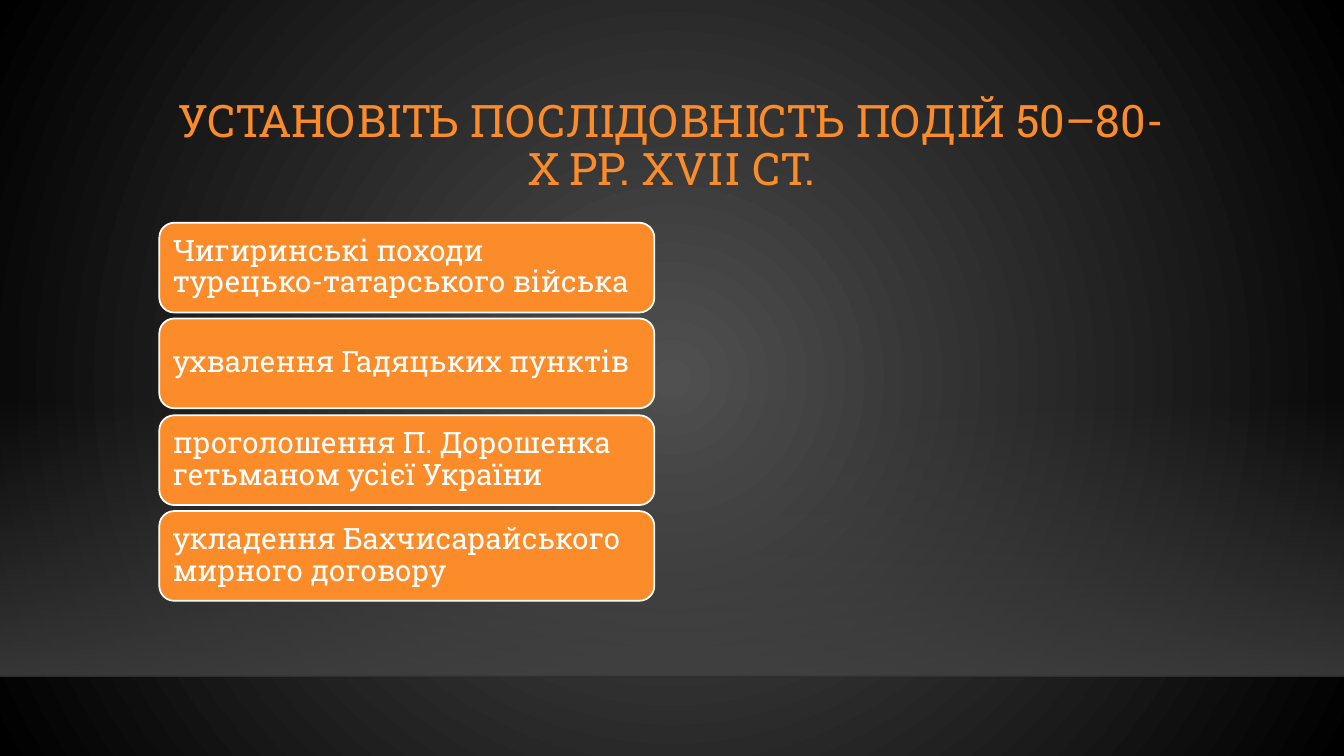
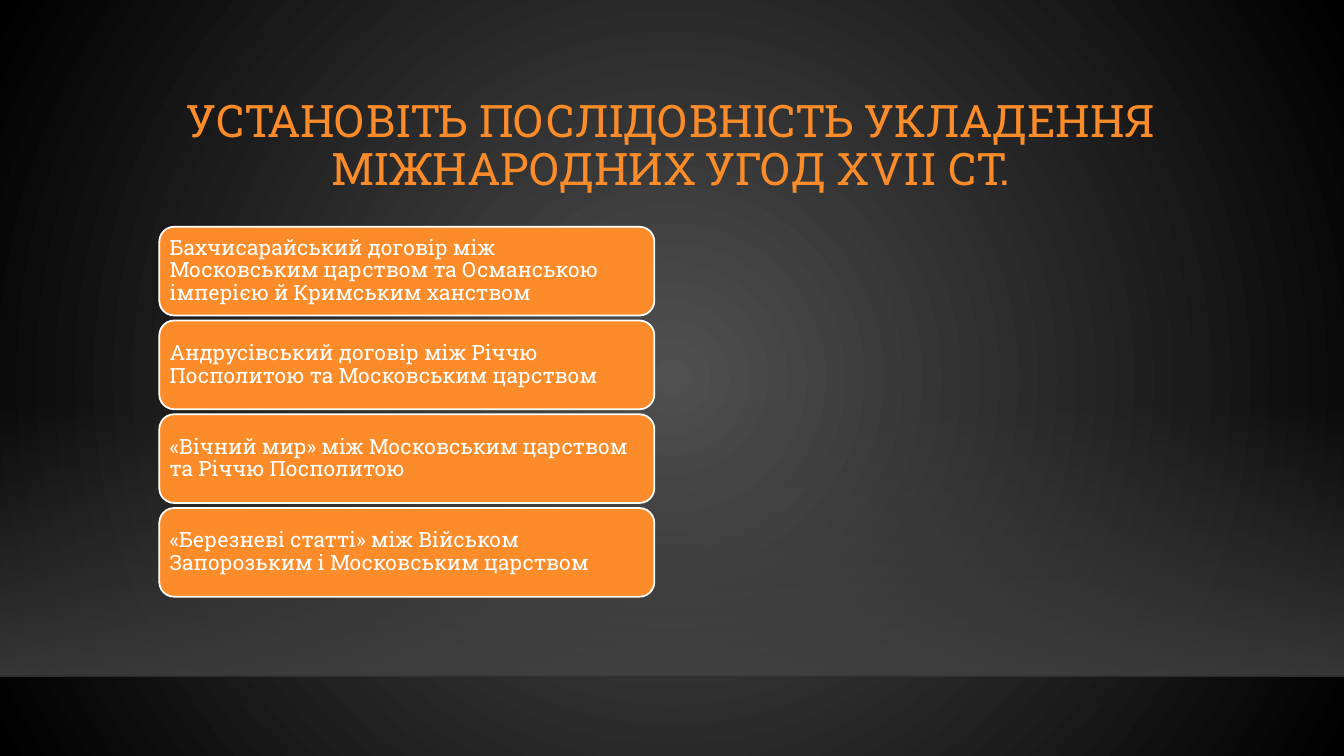
from lxml import etree
from pptx import Presentation
from pptx.dml.color import RGBColor
from pptx.enum.shapes import MSO_CONNECTOR, MSO_SHAPE
from pptx.enum.text import MSO_ANCHOR, PP_ALIGN
from pptx.oxml import parse_xml
from pptx.oxml.ns import nsdecls, qn
from pptx.util import Pt

SCALE = 9144
WIDE, HIGH = 1333, 750
LEFT = 158
FLOOR = 671
FONT = "Roboto Slab"

ORANGE = RGBColor(0xFB, 0x8C, 0x29)
WHITE = RGBColor(0xFF, 0xFF, 0xFF)
GLOW = RGBColor(0x50, 0x50, 0x50)
BLACK = RGBColor(0x00, 0x00, 0x00)
HAZE = RGBColor(0x45, 0x45, 0x45)
EDGE = RGBColor(0x00, 0x00, 0x01)

RECT = MSO_SHAPE.RECTANGLE
ROUND = MSO_SHAPE.ROUNDED_RECTANGLE
STRAIGHT = MSO_CONNECTOR.STRAIGHT
MIDDLE = MSO_ANCHOR.MIDDLE
CENTER = PP_ALIGN.CENTER
START = PP_ALIGN.LEFT

RADIAL = (
    '<a:path path="circle">'
    '<a:fillToRect l="50000" t="50000" r="50000" b="50000"/></a:path>'
)
DOWN = '<a:lin ang="5400000" scaled="0"/>'

SLIDES = [
    {
        "title": "УСТАНОВІТЬ ПОСЛІДОВНІСТЬ ПОДІЙ 50–80-Х РР. XVII СТ.",
        "items": [
            "Чигиринські походи турецько-татарського війська",
            "ухвалення Гадяцьких пунктів",
            "проголошення П. Дорошенка гетьманом усієї України",
            "укладення Бахчисарайського мирного договору",
        ],
        "top": 221, "end": 596, "tall": 89, "size": 21, "pad": 9,
    },
    {
        "title": "УСТАНОВІТЬ ПОСЛІДОВНІСТЬ УКЛАДЕННЯ МІЖНАРОДНИХ УГОД XVII СТ.",
        "items": [
            "Бахчисарайський договір між Московським царством та "
            "Османською імперією й Кримським ханством",
            "Андрусівський договір між Річчю Посполитою та Московським царством",
            "«Вічний мир» між Московським царством та Річчю Посполитою",
            "«Березневі статті» між Військом Запорозьким і Московським царством",
        ],
        "top": 225, "end": 592, "tall": 88, "size": 15, "pad": 6,
    },
]


def px(*sizes):
    return [size * SCALE for size in sizes]


def blend(fill, root, stops, course):
    fill.gradient()
    marks = "".join(
        f'<a:gs pos="{pos * 1000}"><a:srgbClr val="{color}">'
        f'<a:alpha val="{alpha * 1000}"/></a:srgbClr></a:gs>'
        for pos, color, alpha in stops
    )
    old = root.find(".//" + qn("a:gradFill"))
    new = parse_xml(
        f'<a:gradFill {nsdecls("a")} rotWithShape="1">'
        f"<a:gsLst>{marks}</a:gsLst>{course}</a:gradFill>"
    )
    old.getparent().replace(old, new)


def write(frame, text, size, color, align, pad):
    frame.word_wrap = True
    frame.vertical_anchor = MIDDLE
    frame.margin_left, frame.margin_top = px(pad, pad)
    frame.margin_right, frame.margin_bottom = px(pad, pad)
    para = frame.paragraphs[0]
    para.alignment = align
    para.line_spacing = 0.9
    run = para.add_run()
    run.text = text
    run.font.name = FONT
    run.font.size = Pt(size)
    run.font.color.rgb = color


def add_floor(slide):
    band = slide.shapes.add_shape(RECT, *px(0, 396, WIDE, FLOOR - 396))
    band.shadow.inherit = False
    band.line.fill.background()
    blend(band.fill, band.element, [(0, HAZE, 0), (100, HAZE, 80)], DOWN)
    line = slide.shapes.add_connector(STRAIGHT, *px(0, FLOOR, WIDE, FLOOR))
    line.line.width = Pt(1)
    line.line.color.rgb = EDGE
    tint = line.element.spPr.find(".//" + qn("a:srgbClr"))
    etree.SubElement(tint, qn("a:alpha"), val="20000")
    etree.SubElement(line.element.spPr, qn("a:effectLst"))


def add_title(slide, text):
    box = slide.shapes.add_textbox(*px(LEFT, 88, 1016, 116))
    write(box.text_frame, text, 32, ORANGE, CENTER, 10)


def add_card(slide, text, top, tall, size, pad):
    card = slide.shapes.add_shape(ROUND, *px(LEFT, top, 491, tall))
    card.shadow.inherit = False
    card.fill.solid()
    card.fill.fore_color.rgb = ORANGE
    card.line.color.rgb = WHITE
    card.line.width = Pt(1.25)
    write(card.text_frame, text, size, WHITE, START, pad)


def add_list(slide, items, top, end, tall, size, pad):
    step = (end - top - tall) / (len(items) - 1)
    for index, text in enumerate(items):
        add_card(slide, text, top + round(index * step), tall, size, pad)


def main():
    deck = Presentation()
    deck.slide_width, deck.slide_height = px(WIDE, HIGH)
    master = deck.slide_master
    blend(master.background.fill, master.element,
          [(0, GLOW, 100), (100, BLACK, 100)], RADIAL)
    for page in SLIDES:
        slide = deck.slides.add_slide(deck.slide_layouts[6])
        add_floor(slide)
        add_title(slide, page["title"])
        add_list(slide, page["items"], page["top"], page["end"],
                 page["tall"], page["size"], page["pad"])
    deck.save("out.pptx")


if __name__ == "__main__":
    main()
